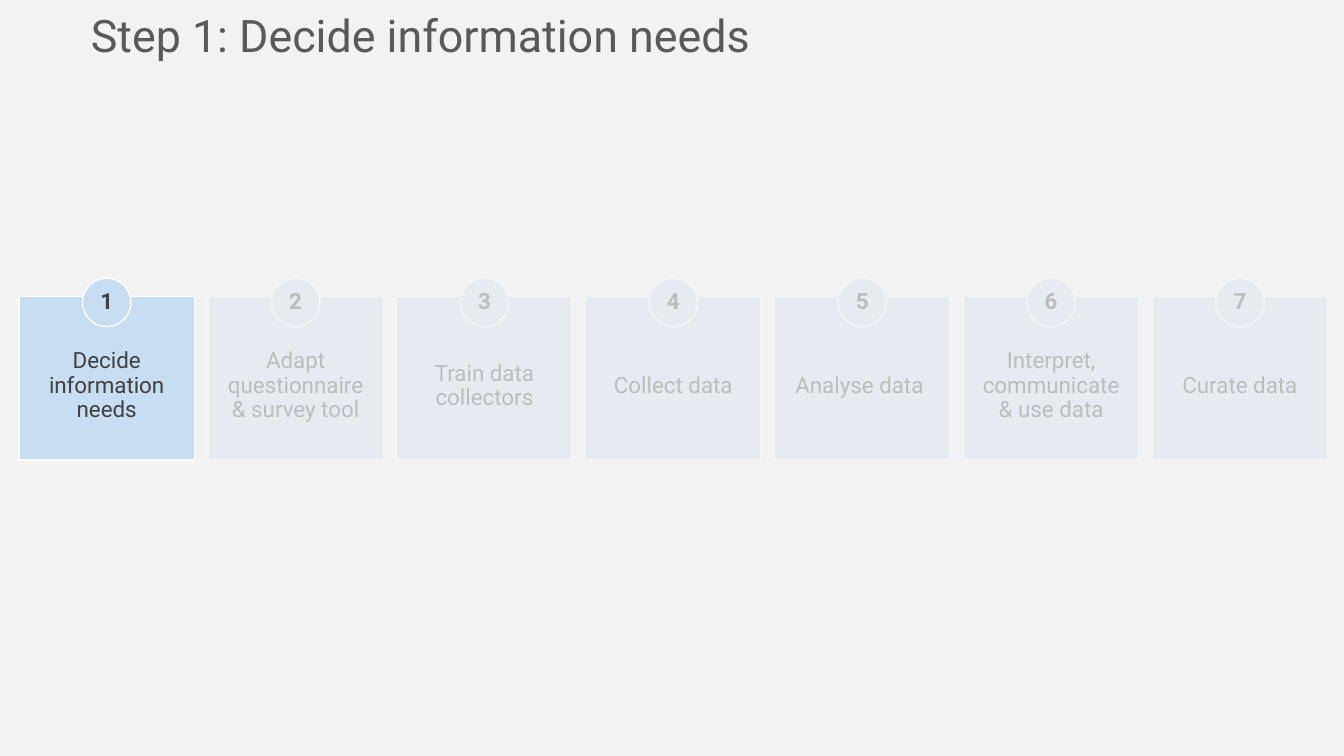
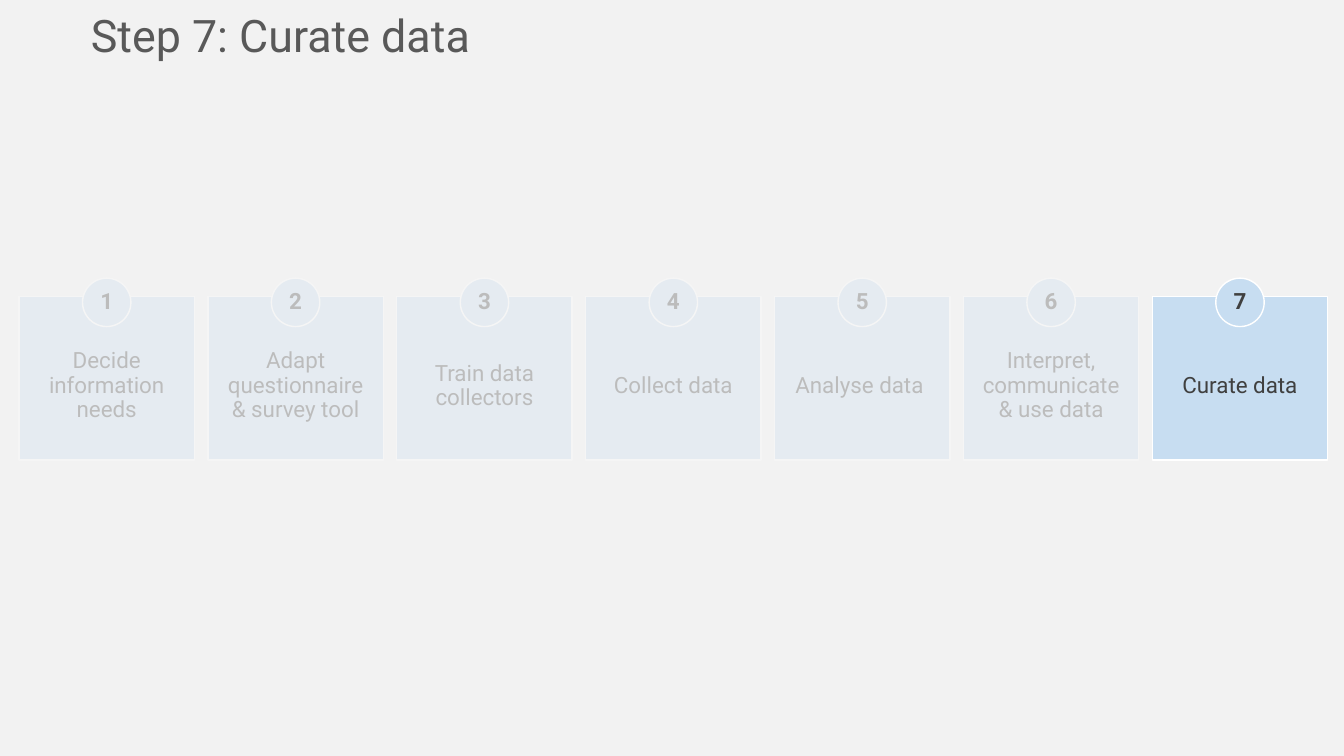
from lxml import etree
from pptx import Presentation
from pptx import util as u
from pptx.dml.color import RGBColor
from pptx.enum import shapes, text
from pptx.oxml.ns import qn

# Content
STEPS = [
    "Decide information needs",
    "Adapt questionnaire & survey tool",
    "Train data collectors",
    "Collect data",
    "Analyse data ",
    "Interpret, communicate & use data",
    "Curate data",
]
ACTIVE = [1, 7]  # step in focus on each slide

# Style
COLORS = {"back": "F2F2F2", "step": "C7DDF1", "line": "FFFFFF",
          "text": "404040", "title": "595959"}
FONT = "Roboto"
SHAPE = shapes.MSO_SHAPE

# Layout, in cm
LEFT, TOP, WIDTH, HEIGHT = 0.48, 7.48, 4.42, 4.11
PITCH = 4.76
DISC, DISC_TOP = 1.22, 7.01


def color(name):
    return RGBColor.from_string(COLORS[name])


def place(*box):
    return [u.Cm(size) for size in box]


def style(frame, size, tint, bold=False):
    for para in frame.paragraphs:
        for run in para.runs:
            font = run.font
            font.name, font.size, font.bold = FONT, u.Pt(size), bold
            font.color.rgb = color(tint)


def add_title(slide, label):
    frame = slide.shapes.add_textbox(*place(2.04, 0.06, 27.03, 1.63)).text_frame
    frame.word_wrap = True
    frame.text = label
    style(frame, 32, "title")


def add_form(slide, kind, box, fill):
    form = slide.shapes.add_shape(kind, *place(*box))
    form.shadow.inherit = False
    form.fill.solid()
    form.fill.fore_color.rgb = color(fill)
    return form


def add_label(slide, kind, box, label, pads, bold=False):
    form = add_form(slide, kind, box, "step")
    form.line.color.rgb = color("line")
    form.line.width = u.Pt(1)
    frame = form.text_frame
    frame.word_wrap = True
    frame.vertical_anchor = text.MSO_ANCHOR.MIDDLE
    (frame.margin_left, frame.margin_top,
     frame.margin_right, frame.margin_bottom) = place(*pads)
    frame.text = label
    para = frame.paragraphs[0]
    para.alignment = text.PP_ALIGN.CENTER
    para.line_spacing = 0.9
    style(frame, 16, "text", bold)


def add_step(slide, num):
    left = LEFT + (num - 1) * PITCH
    add_label(slide, SHAPE.RECTANGLE, (left, TOP, WIDTH, HEIGHT),
              STEPS[num - 1], (0.41, 0.99, 0.41, 0.61))
    add_label(slide, SHAPE.OVAL,
              (left + (WIDTH - DISC) / 2, DISC_TOP, DISC, DISC),
              str(num), (0, 0, 0, 0), bold=True)


def add_veil(slide):
    veil = add_form(slide, SHAPE.RECTANGLE, (0, 6.71, 33.58, 5.64), "back")
    veil.line.fill.background()
    tint = veil.element.spPr.find(".//" + qn("a:srgbClr"))
    etree.SubElement(tint, qn("a:alpha")).set("val", "70000")


def main():
    deck = Presentation()
    deck.slide_width, deck.slide_height = place(33.87, 19.05)
    back = deck.slide_master.background.fill
    back.solid()
    back.fore_color.rgb = color("back")

    for active in ACTIVE:
        slide = deck.slides.add_slide(deck.slide_layouts[6])
        add_title(slide, f"Step {active}: {STEPS[active - 1]}")
        # The veil dims every step but the active one
        for num in range(1, len(STEPS) + 1):
            if num != active:
                add_step(slide, num)
        add_veil(slide)
        add_step(slide, active)

    deck.save("out.pptx")


if __name__ == "__main__":
    main()
